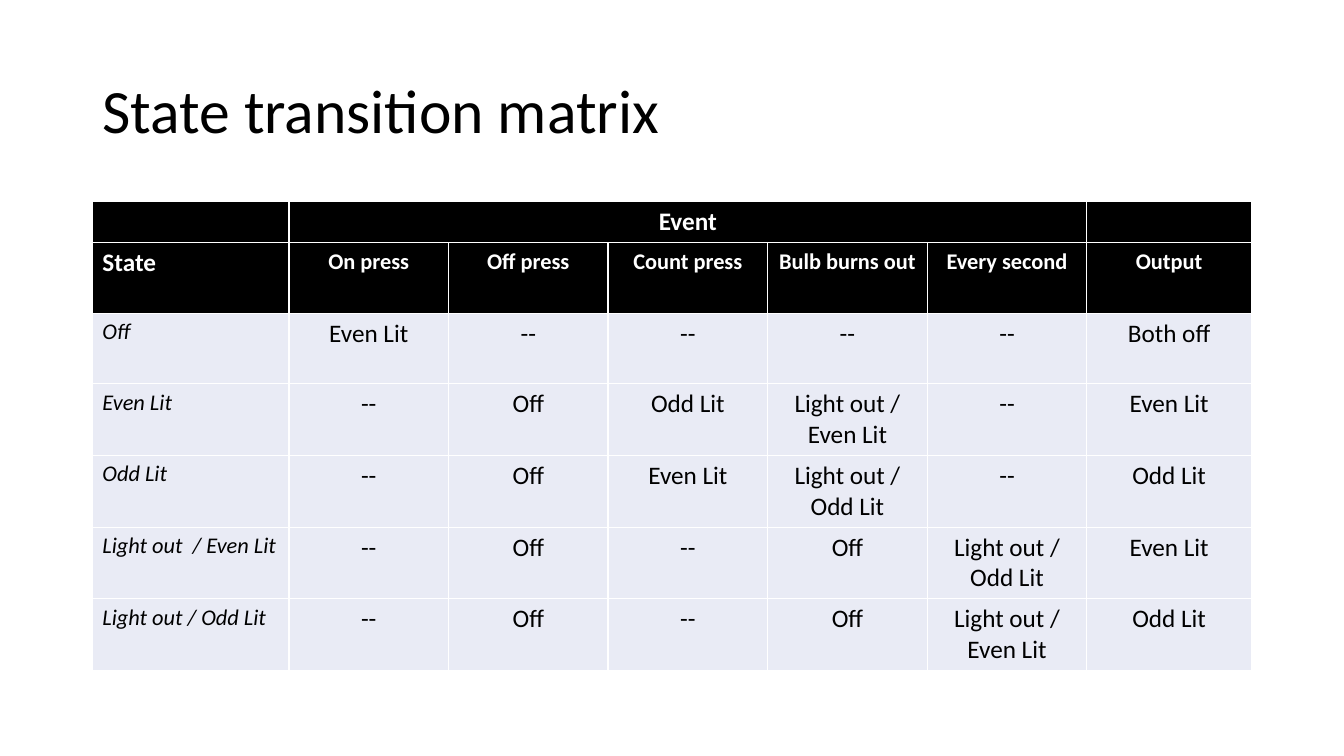
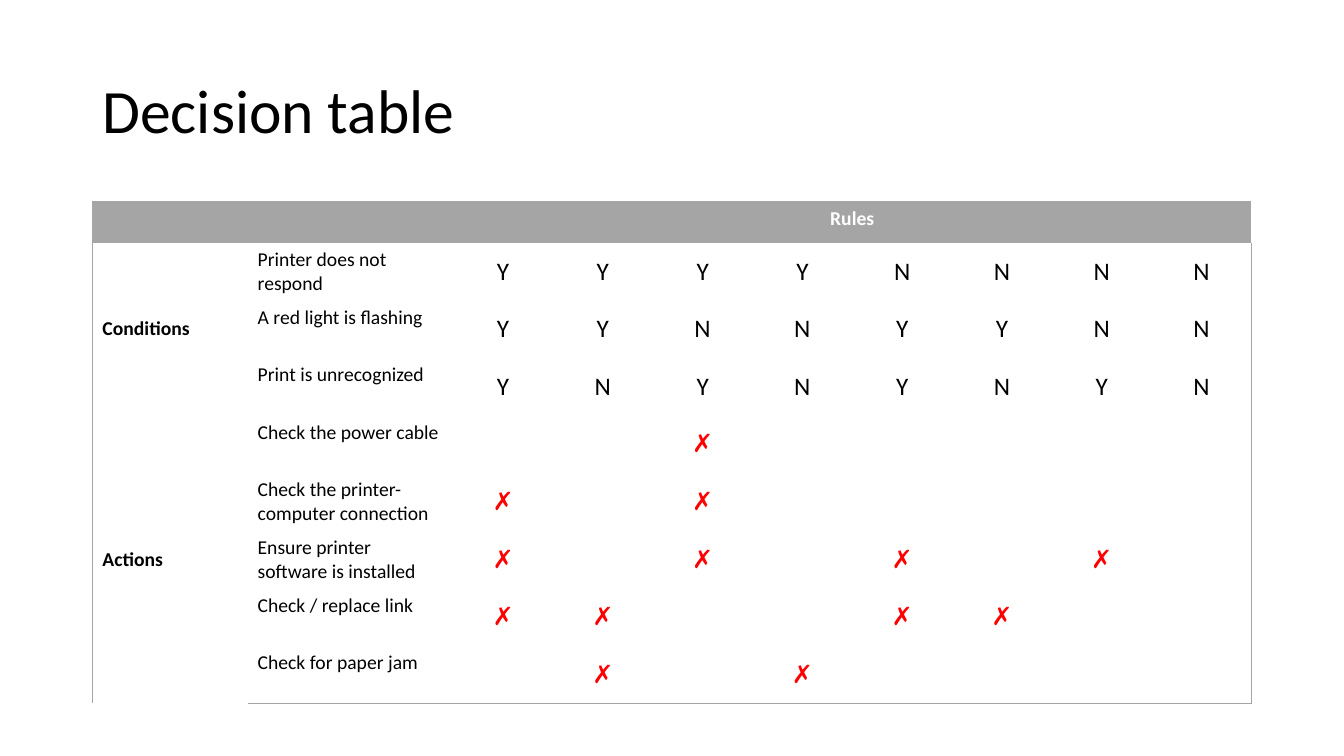
from dataclasses import dataclass, replace

from lxml import etree
from pptx import Presentation
from pptx.dml.color import RGBColor
from pptx.enum.text import MSO_ANCHOR, MSO_AUTO_SIZE, PP_ALIGN
from pptx.oxml.ns import qn
from pptx.presentation import Presentation as Deck
from pptx.slide import Slide
from pptx.table import Table, _Cell
from pptx.text.text import _Paragraph
from pptx.util import Inches, Pt

LEFT, CENTER = PP_ALIGN.LEFT, PP_ALIGN.CENTER
TOP, MIDDLE = MSO_ANCHOR.TOP, MSO_ANCHOR.MIDDLE
NO_AUTOFIT = MSO_AUTO_SIZE.NONE
TITLE_ONLY = 5

FONT = "Calibri"
COLORS = {
    "black": "000000",
    "white": "FFFFFF",
    "pale": "E9EBF5",
    "grey": "A5A5A5",
    "red": "FF0000",
}

UNITS_PER_INCH = 12
SLIDE_COLUMNS, SLIDE_ROWS = 160, 90
CONTENT_LEFT, CONTENT_WIDTH = 11, 138
TITLE_TOP, TITLE_HEIGHT = 4.8, 17.4
TABLE_TOP = 24


@dataclass(frozen=True)
class CellStyle:
    size: int = 18
    color: str = "black"
    bold: bool = False
    italic: bool = False
    align: PP_ALIGN = CENTER
    anchor: MSO_ANCHOR = TOP
    fill: str | None = None


@dataclass(frozen=True)
class Border:
    color: str
    width: float
    inside: bool


@dataclass(frozen=True)
class Entry:
    row: int
    column: int
    text: str
    style: CellStyle
    row_span: int = 1
    column_span: int = 1


@dataclass(frozen=True)
class Matrix:
    title: str
    columns: list[float]
    rows: list[float]
    border: Border
    header_rows: int
    header_fill: str
    body_fill: str | None
    entries: list[Entry]


EVENT_HEADER = CellStyle(color="white", bold=True)
STATE_HEADER = replace(EVENT_HEADER, align=LEFT)
COLUMN_HEADER = replace(EVENT_HEADER, size=16)
STATE_NAME = CellStyle(size=16, italic=True, align=LEFT)
TRANSITION = CellStyle()

RULES_HEADER = CellStyle(size=14, color="white", bold=True)
SECTION = CellStyle(size=14, bold=True, align=LEFT, anchor=MIDDLE)
LABEL = CellStyle(size=14, align=LEFT)
ANSWER = CellStyle(anchor=MIDDLE)
MARK = CellStyle(color="red", bold=True, anchor=MIDDLE)

EVENTS = ["On press", "Off press", "Count press", "Bulb burns out", "Every second", "Output"]
STATES = [
    ("Off", "Even Lit", "--", "--", "--", "--", "Both off"),
    ("Even Lit", "--", "Off", "Odd Lit", "Light out / Even Lit", "--", "Even Lit"),
    ("Odd Lit", "--", "Off", "Even Lit", "Light out / Odd Lit", "--", "Odd Lit"),
    ("Light out  / Even Lit", "--", "Off", "--", "Off", "Light out / Odd Lit", "Even Lit"),
    ("Light out / Odd Lit", "--", "Off", "--", "Off", "Light out / Even Lit", "Odd Lit"),
]

RULE_COUNT = 8
CONDITIONS = {
    "Printer does not respond": "YYYYNNNN",
    "A red light is flashing": "YYNNYYNN",
    "Print is unrecognized": "YNYNYNYN",
}
ACTIONS = {
    "Check the power cable": (3,),
    "Check the printer-computer connection": (1, 3),
    "Ensure printer software is installed": (1, 3, 5, 7),
    "Check / replace link": (1, 2, 5, 6),
    "Check for paper jam": (2, 4),
}


def units(count: float) -> int:
    return Inches(count / UNITS_PER_INCH)


def rgb(name: str) -> RGBColor:
    return RGBColor.from_string(COLORS[name])


def format_paragraph(paragraph: _Paragraph, style: CellStyle) -> None:
    paragraph.alignment = style.align
    font = paragraph.font
    font.name, font.size = FONT, Pt(style.size)
    font.bold, font.italic = style.bold, style.italic
    font.color.rgb = rgb(style.color)


def add_titled_slide(deck: Deck, heading: str) -> Slide:
    slide = deck.slides.add_slide(deck.slide_layouts[TITLE_ONLY])
    title = slide.shapes.title
    title.left, title.top = units(CONTENT_LEFT), units(TITLE_TOP)
    title.width, title.height = units(CONTENT_WIDTH), units(TITLE_HEIGHT)
    frame = title.text_frame
    frame.text = heading
    frame.auto_size = NO_AUTOFIT
    frame.vertical_anchor = MIDDLE
    paragraph = frame.paragraphs[0]
    paragraph.line_spacing = 0.9
    format_paragraph(paragraph, CellStyle(size=44, align=LEFT))
    return slide


def draw_borders(cell: _Cell, border: Border, outer: dict[str, bool]) -> None:
    properties = cell._tc.get_or_add_tcPr()
    for side, on_edge in outer.items():
        line = etree.SubElement(properties, qn(f"a:ln{side}"), w=str(Pt(border.width)))
        if on_edge or border.inside:
            fill = etree.SubElement(line, qn("a:solidFill"))
            etree.SubElement(fill, qn("a:srgbClr"), val=COLORS[border.color])
        else:
            etree.SubElement(line, qn("a:noFill"))


def fill_cell(cell: _Cell, color: str | None) -> None:
    if color is None:
        cell.fill.background()
    else:
        cell.fill.solid()
        cell.fill.fore_color.rgb = rgb(color)


def write_entry(table: Table, entry: Entry) -> None:
    cell = table.cell(entry.row, entry.column)
    if entry.row_span * entry.column_span > 1:
        last_row = entry.row + entry.row_span - 1
        last_column = entry.column + entry.column_span - 1
        cell.merge(table.cell(last_row, last_column))
    cell.text = entry.text
    cell.vertical_anchor = entry.style.anchor
    format_paragraph(cell.text_frame.paragraphs[0], entry.style)


def draw_matrix(deck: Deck, matrix: Matrix) -> None:
    slide = add_titled_slide(deck, matrix.title)
    row_count, column_count = len(matrix.rows), len(matrix.columns)
    table = slide.shapes.add_table(
        row_count, column_count, units(CONTENT_LEFT), units(TABLE_TOP),
        units(CONTENT_WIDTH), units(sum(matrix.rows)),
    ).table
    table.first_row = table.horz_banding = False
    for column, width in zip(table.columns, matrix.columns):
        column.width = units(width)
    for row, height in zip(table.rows, matrix.rows):
        row.height = units(height)
    for row in range(row_count):
        for column in range(column_count):
            cell = table.cell(row, column)
            outer = {
                "L": column == 0,
                "R": column == column_count - 1,
                "T": row == 0,
                "B": row == row_count - 1,
            }
            draw_borders(cell, matrix.border, outer)
            in_header = row < matrix.header_rows
            fill_cell(cell, matrix.header_fill if in_header else matrix.body_fill)
    for entry in matrix.entries:
        write_entry(table, entry)


def transition_matrix() -> Matrix:
    entries = [
        Entry(0, 1, "Event", EVENT_HEADER, column_span=len(EVENTS) - 1),
        Entry(1, 0, "State", STATE_HEADER),
    ]
    entries += [Entry(1, column, event, COLUMN_HEADER) for column, event in enumerate(EVENTS, 1)]
    for row, state in enumerate(STATES, 2):
        for column, text in enumerate(state):
            entries.append(Entry(row, column, text, TRANSITION if column else STATE_NAME))
    return Matrix(
        title="State transition matrix",
        columns=[23.4] + [19] * 5 + [19.6],
        rows=[4.9] + [8.4] * (len(STATES) + 1),
        border=Border("white", 1, inside=True),
        header_rows=2,
        header_fill="black",
        body_fill="pale",
        entries=entries,
    )


def decision_table() -> Matrix:
    first_action = len(CONDITIONS) + 1
    entries = [
        Entry(0, 2, "Rules", RULES_HEADER, column_span=RULE_COUNT),
        Entry(1, 0, "Conditions", SECTION, row_span=len(CONDITIONS)),
        Entry(first_action, 0, "Actions", SECTION, row_span=len(ACTIONS)),
    ]
    for row, label in enumerate([*CONDITIONS, *ACTIONS], 1):
        entries.append(Entry(row, 1, label, LABEL))
    for row, answers in enumerate(CONDITIONS.values(), 1):
        entries += [Entry(row, column, answer, ANSWER) for column, answer in enumerate(answers, 2)]
    for row, rules in enumerate(ACTIONS.values(), first_action):
        entries += [Entry(row, rule + 1, "✗", MARK) for rule in rules]
    return Matrix(
        title="Decision table",
        columns=[18.48, 24.48] + [11.88] * RULE_COUNT,
        rows=[4.9] + [6.84] * (len(CONDITIONS) + len(ACTIONS)),
        border=Border("grey", 0.5, inside=False),
        header_rows=1,
        header_fill="grey",
        body_fill=None,
        entries=entries,
    )


def main() -> None:
    deck = Presentation()
    deck.slide_width, deck.slide_height = units(SLIDE_COLUMNS), units(SLIDE_ROWS)
    for matrix in (transition_matrix(), decision_table()):
        draw_matrix(deck, matrix)
    deck.save("out.pptx")


if __name__ == "__main__":
    main()
